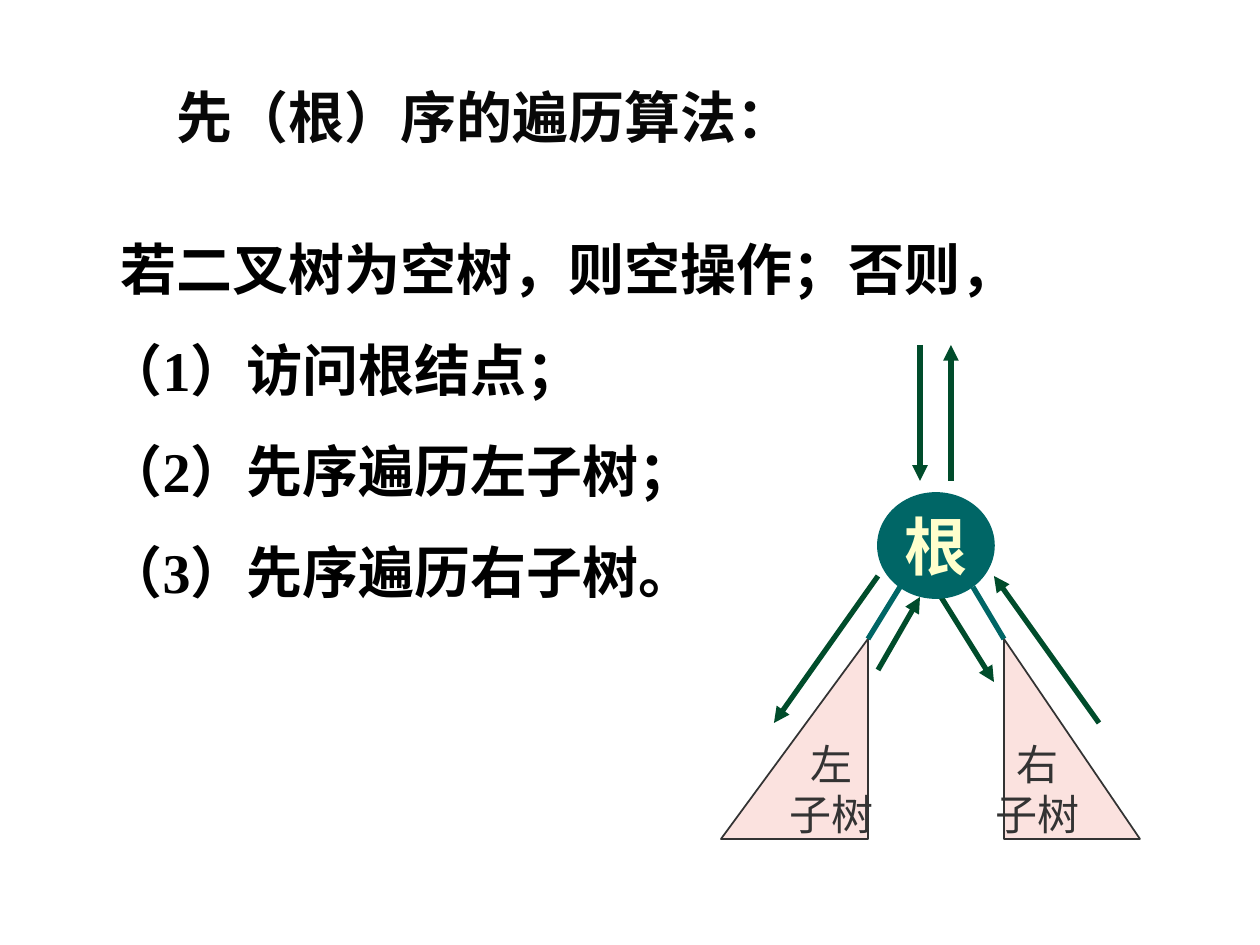
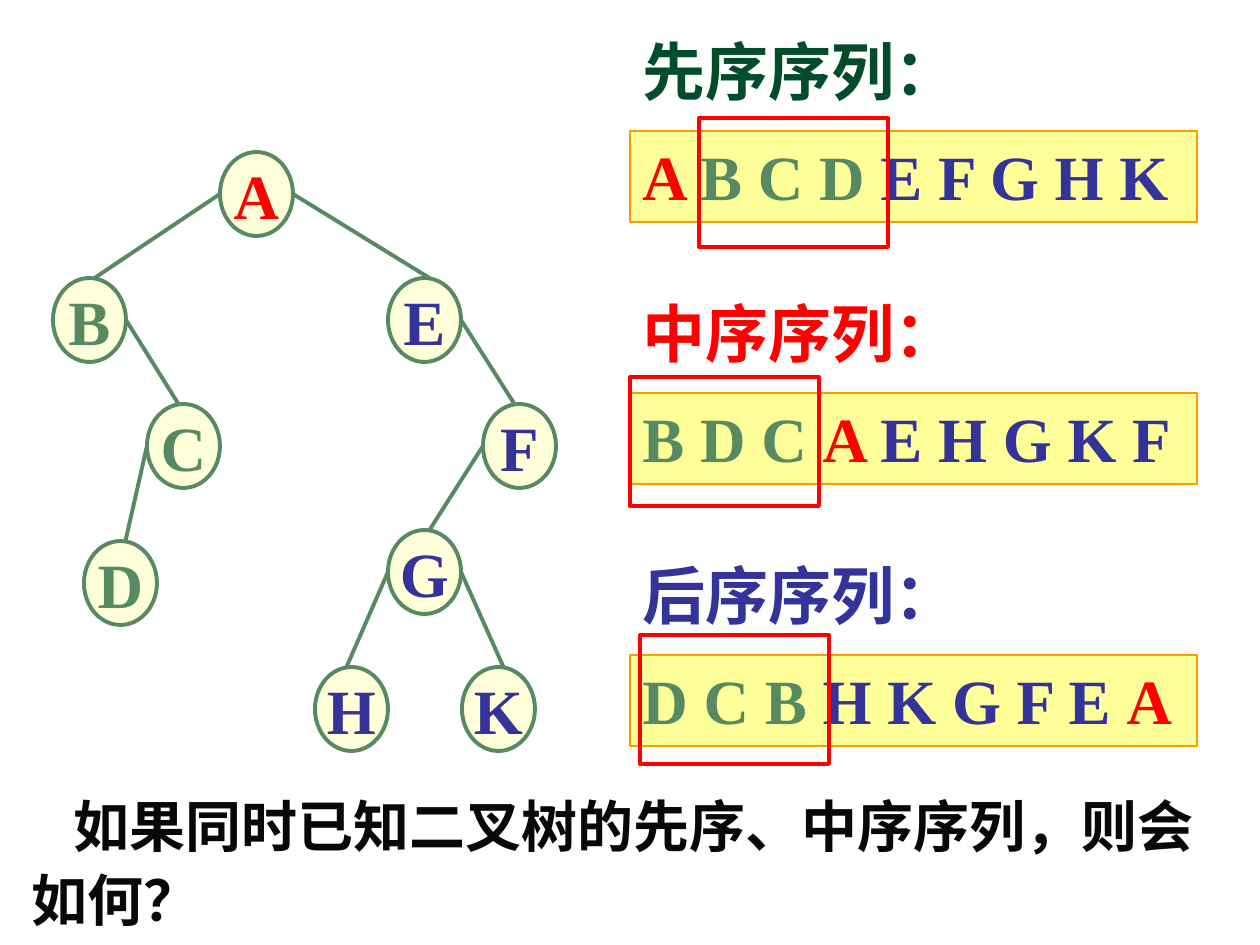
from itertools import groupby

from lxml.etree import SubElement
from pptx import Presentation
from pptx.dml.color import RGBColor
from pptx.enum.shapes import MSO_CONNECTOR, MSO_SHAPE
from pptx.enum.text import MSO_ANCHOR, MSO_AUTO_SIZE, PP_ALIGN
from pptx.oxml.ns import qn
from pptx.util import Emu, Pt

SCALE = 914400 / 126  # EMU in one px
FONT = "Times New Roman"
COLORS = {
    "black": "000000", "ink": "080808", "forest": "004C2B", "teal": "006666",
    "cream": "FFFFCC", "pink": "FBE2DF", "gray": "333333", "ivory": "FFFFD9",
    "green": "578963", "red": "FF0000", "navy": "333399",
    "yellow": "FFFF99", "orange": "FF9900",
}

ARROWS = [
    ((920, 345), (920, 481)), ((951, 481), (951, 345)),
    ((878, 576), (774, 723)), ((1099, 723), (994, 576)),
    ((878, 670), (920, 597)), ((941, 597), (994, 682)),
]

NODE_W, NODE_H = 73, 84
NODES = {
    "A": (220, 152), "B": (53, 278), "C": (147, 404), "D": (84, 541),
    "E": (388, 278), "F": (483, 404), "G": (388, 530),
    "H": (315, 667), "K": (462, 667),
}
# Parent, child, and how far the edge ends from the child's top centre
EDGES = [
    ("A", "B", 5), ("B", "C", -5), ("C", "D", 5), ("A", "E", 5),
    ("E", "F", -5), ("F", "G", 5), ("G", "H", -5), ("G", "K", 5),
]

# Label, its colour, letter order, left and top of the red frame
ORDERS = [
    ("先序序列：", "forest", "ABCDEFGHK", (699, 118)),
    ("中序序列：", "red", "BDCAEHGKF", (630, 377)),
    ("后序序列：", "navy", "DCBHKGFEA", (640, 635)),
]
ORDER_X, ORDER_STEP = 630, 262


def px(*vals):
    return [Emu(round(val * SCALE)) for val in vals]


def rgb(name):
    return RGBColor.from_string(COLORS[name])


def tone(letter):
    """Colour of a tree letter: root, left subtree or right subtree."""
    if letter == "A":
        return "red"
    return "green" if letter in "BCD" else "navy"


def style(par, size, color, bold=True):
    font = par.font
    font.name, font.size, font.bold = FONT, Pt(size), bold
    font.color.rgb = rgb(color)


def write(frame, lines, size, color, bold=True, align=PP_ALIGN.LEFT,
          space=1.0, indent=0):
    """Fill a frame; indent moves the first line of the first paragraph."""
    for i, line in enumerate(lines):
        par = frame.paragraphs[0] if i == 0 else frame.add_paragraph()
        par.text = line
        props = par._p.get_or_add_pPr()
        props.set("marL", "0")
        props.set("indent", str(px(0 if i else indent)[0]))
        SubElement(props, qn("a:buNone"))
        par.alignment, par.line_spacing = align, space
        par.space_before = Pt(0)
        style(par, size, color, bold)


def place(holder, box, lines, size, color, **look):
    """Move a placeholder and write its text."""
    holder.left, holder.top, holder.width, holder.height = px(*box)
    frame = holder.text_frame
    frame.word_wrap, frame.auto_size = True, MSO_AUTO_SIZE.NONE
    frame.vertical_anchor = MSO_ANCHOR.TOP
    write(frame, lines, size, color, **look)


def text(shapes, box, line, size, color, **look):
    frame = shapes.add_textbox(*px(*box)).text_frame
    frame.word_wrap = True
    write(frame, [line], size, color, **look)


def shape(shapes, kind, box, fill, line, width=1):
    item = shapes.add_shape(kind, *px(*box))
    item.shadow.inherit = False
    if fill:
        item.fill.solid()
        item.fill.fore_color.rgb = rgb(fill)
    else:
        item.fill.background()
    item.line.color.rgb = rgb(line)
    item.line.width = Pt(width)
    return item


def label(item, lines, size, color, bold=True):
    """Centre text in a shape without wrapping it."""
    frame = item.text_frame
    frame.word_wrap = False
    frame.vertical_anchor = MSO_ANCHOR.MIDDLE
    write(frame, lines, size, color, bold, PP_ALIGN.CENTER)


def link(shapes, start, end, color, width, arrow=False):
    item = shapes.add_connector(MSO_CONNECTOR.STRAIGHT, *px(*start, *end))
    item.line.color.rgb = rgb(color)
    item.line.width = Pt(width)
    if arrow:
        SubElement(item.line._get_or_add_ln(), qn("a:tailEnd"), type="triangle")
    SubElement(item._element.spPr, qn("a:effectLst"))


def subtree(shapes, box, apex, lines):
    item = shape(shapes, MSO_SHAPE.ISOSCELES_TRIANGLE, box, "pink", "gray")
    item.adjustments[0] = apex
    label(item, lines, 24, "gray", False)


def tree(shapes):
    for name, spot in NODES.items():
        box = (*spot, NODE_W, NODE_H)
        node = shape(shapes, MSO_SHAPE.OVAL, box, "ivory", "green", 2.25)
        label(node, [name], 36, tone(name))
    for top, sub, shift in EDGES:
        (x, y), (left, head) = NODES[top], NODES[sub]
        side = x if left < x else x + NODE_W
        end = (left + NODE_W / 2 + shift, head)
        link(shapes, (side, y + NODE_H / 2), end, "green", 2.25)


def band(shapes, y, order):
    """Yellow bar with the letters of one traversal."""
    box = (ORDER_X, y, 567, 91)
    frame = shape(shapes, MSO_SHAPE.RECTANGLE, box, "yellow", "orange").text_frame
    frame.word_wrap = True
    frame.vertical_anchor = MSO_ANCHOR.TOP
    par = frame.paragraphs[0]
    par.alignment = PP_ALIGN.LEFT
    style(par, 36, "navy")
    parts = [(color, " ".join(group)) for color, group in groupby(order, tone)]
    for i, (color, part) in enumerate(parts):
        run = par.add_run()
        run.text = part if i == len(parts) - 1 else part + " "
        run.font.color.rgb = rgb(color)


def preorder(deck):
    slide = deck.slides.add_slide(deck.slide_layouts[1])
    shapes = slide.shapes
    place(shapes.title, (164, 76, 660, 79), ["先（根）序的遍历算法："], 32, "ink")
    steps = ["若二叉树为空树，则空操作；否则，", "（1）访问根结点；",
             "（2）先序遍历左子树；", "（3）先序遍历右子树。"]
    place(slide.placeholders[1], (94, 195, 960, 416), steps, 32, "black",
          space=1.5, indent=14)
    for start, end in ARROWS:
        link(shapes, start, end, "forest", 3, True)
    subtree(shapes, (721, 639, 147, 200), 1, ["左", "子树"])
    subtree(shapes, (1004, 639, 136, 200), 0, ["右", "子树"])
    link(shapes, (900, 587), (868, 639), "teal", 3)
    link(shapes, (973, 587), (1004, 639), "teal", 3)
    root = shape(shapes, MSO_SHAPE.OVAL, (878, 493, 116, 105), "teal", "teal")
    label(root, ["根"], 36, "cream")


def orders(deck):
    shapes = deck.slides.add_slide(deck.slide_layouts[6]).shapes
    tree(shapes.add_group_shape().shapes)
    for i, (name, color, order, spot) in enumerate(ORDERS):
        y = i * ORDER_STEP
        text(shapes, (ORDER_X, 26 + y, 357, 88), name, 36, color)
        band(shapes, 131 + y, order)
        shape(shapes, MSO_SHAPE.RECTANGLE, (*spot, 189, 129), None, "red", 2.25)
    text(shapes, (19, 779, 1197, 160),
         "如果同时已知二叉树的先序、中序序列，则会如何？", 32, "ink",
         space=1.1, indent=42)


def main():
    deck = Presentation()
    deck.slide_width, deck.slide_height = px(1260, 945)
    preorder(deck)
    orders(deck)
    deck.save("out.pptx")


if __name__ == "__main__":
    main()
